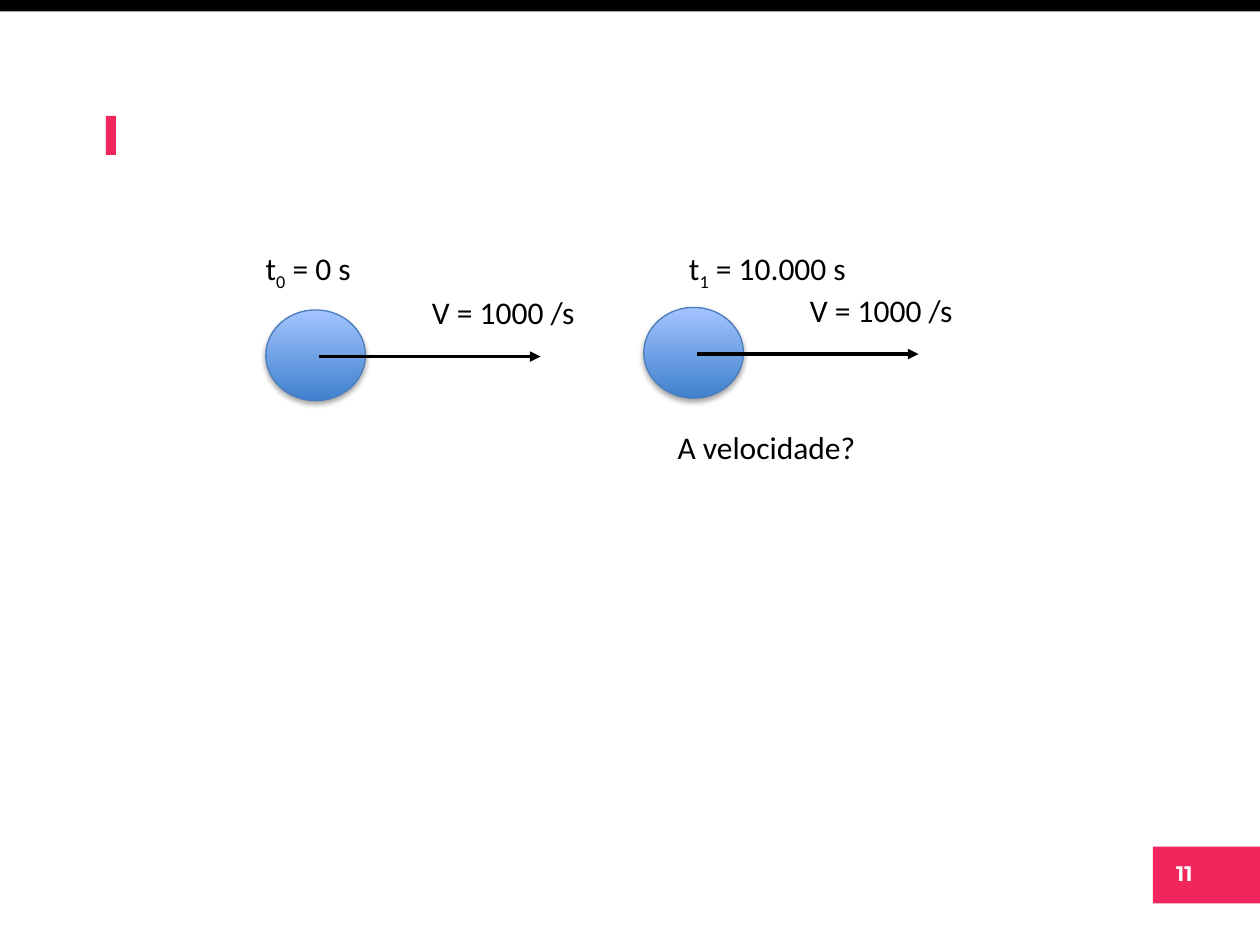
from pptx import Presentation
from pptx import util as u
from pptx.dml.color import RGBColor
from pptx.enum import shapes, text
from pptx.oxml import parse_xml
from pptx.oxml.ns import nsdecls, qn

HUES = {"ink": "000000", "pink": "F0265D", "white": "FFFFFF",
        "deep": "3F80CE", "pale": "A4C4FF", "edge": "4B7EBC"}
WIDE, HIGH = 10, 7.5
BALL_W, BALL_H = 0.79, 0.72
SHADOW = (
    f'<a:outerShdw {nsdecls("a")} blurRad="{u.Pt(3.1)}" dist="{u.Pt(1.8)}" '
    'dir="5400000" rotWithShape="0"><a:srgbClr val="000000">'
    '<a:alpha val="35000"/></a:srgbClr></a:outerShdw>')


def hue(name):
    return RGBColor.from_string(HUES[name])


def inches(*sizes):
    return [u.Inches(size) for size in sizes]


def add_bar(slide, box, fill):
    bar = slide.shapes.add_shape(shapes.MSO_SHAPE.RECTANGLE, *inches(*box))
    bar.shadow.inherit = False
    bar.fill.solid()
    bar.fill.fore_color.rgb = hue(fill)
    bar.line.fill.background()


def add_label(slide, box, words, size=18, face="Calibri", color="ink", bold=False):
    """Add one line of text; a (base, sub, rest) tuple gets a subscript."""
    label = slide.shapes.add_textbox(*inches(*box))
    frame = label.text_frame
    frame.word_wrap = False
    frame.auto_size = text.MSO_AUTO_SIZE.SHAPE_TO_FIT_TEXT
    line = frame.paragraphs[0]
    parts = (words,) if isinstance(words, str) else words
    for place, part in enumerate(parts):
        run = line.add_run()
        run.text = part
        run.font.size, run.font.name, run.font.bold = u.Pt(size), face, bold
        run.font.color.rgb = hue(color)
        if place == 1:
            run.font._element.set("baseline", "-25000")
    return line


def add_ball(slide, left, top):
    ball = slide.shapes.add_shape(
        shapes.MSO_SHAPE.OVAL, *inches(left, top, BALL_W, BALL_H))
    ball.fill.gradient()
    ball.fill.gradient_angle = 90
    for stop, name in zip(ball.fill.gradient_stops, ("deep", "pale")):
        stop.color.rgb = hue(name)
    ball.line.color.rgb = hue("edge")
    ball.line.width = u.Pt(0.75)
    ball.shadow.inherit = False
    ball._element.spPr.find(qn("a:effectLst")).append(parse_xml(SHADOW))


def add_arrow(slide, left, top, length):
    arrow = slide.shapes.add_connector(
        shapes.MSO_CONNECTOR.STRAIGHT, *inches(left, top, left + length, top))
    arrow.line.color.rgb = hue("ink")
    arrow.line.width = u.Pt(2)
    props = arrow._element.spPr
    props.find(qn("a:ln")).append(
        parse_xml(f'<a:tailEnd {nsdecls("a")} type="triangle"/>'))
    props.append(parse_xml(f'<a:effectLst {nsdecls("a")}/>'))


def add_motion(slide, left, top):
    """Add a ball with its velocity arrow and label."""
    add_ball(slide, left, top)
    add_arrow(slide, left + 0.42, top + 0.37, 1.76)
    add_label(slide, (left + 1.22, top - 0.18, 1.35, 0.4), "V = 1000 /s")


def add_frame(slide):
    add_bar(slide, (0, 0, WIDE, 0.09), "ink")
    add_bar(slide, (9.15, 6.72, 0.86, 0.45), "pink")
    number = add_label(slide, (9.16, 6.78, 0.48, 0.3), "11", 12,
                       "Montserrat", "white", True)
    number.alignment = text.PP_ALIGN.CENTER
    add_bar(slide, (0.84, 0.92, 0.08, 0.31), "pink")


def main():
    deck = Presentation()
    deck.slide_width, deck.slide_height = inches(WIDE, HIGH)
    slide = deck.slides.add_slide(deck.slide_layouts[6])
    add_frame(slide)
    add_motion(slide, 2.11, 2.46)
    add_label(slide, (2.01, 1.93, 0.9, 0.4), ("t", "0", " = 0 s"))
    add_label(slide, (5.37, 1.93, 1.47, 0.4), ("t", "1", " = 10.000 s"))
    add_motion(slide, 5.11, 2.44)
    add_label(slide, (5.28, 3.35, 1.63, 0.4), "A velocidade?")
    deck.save("out.pptx")


if __name__ == "__main__":
    main()
